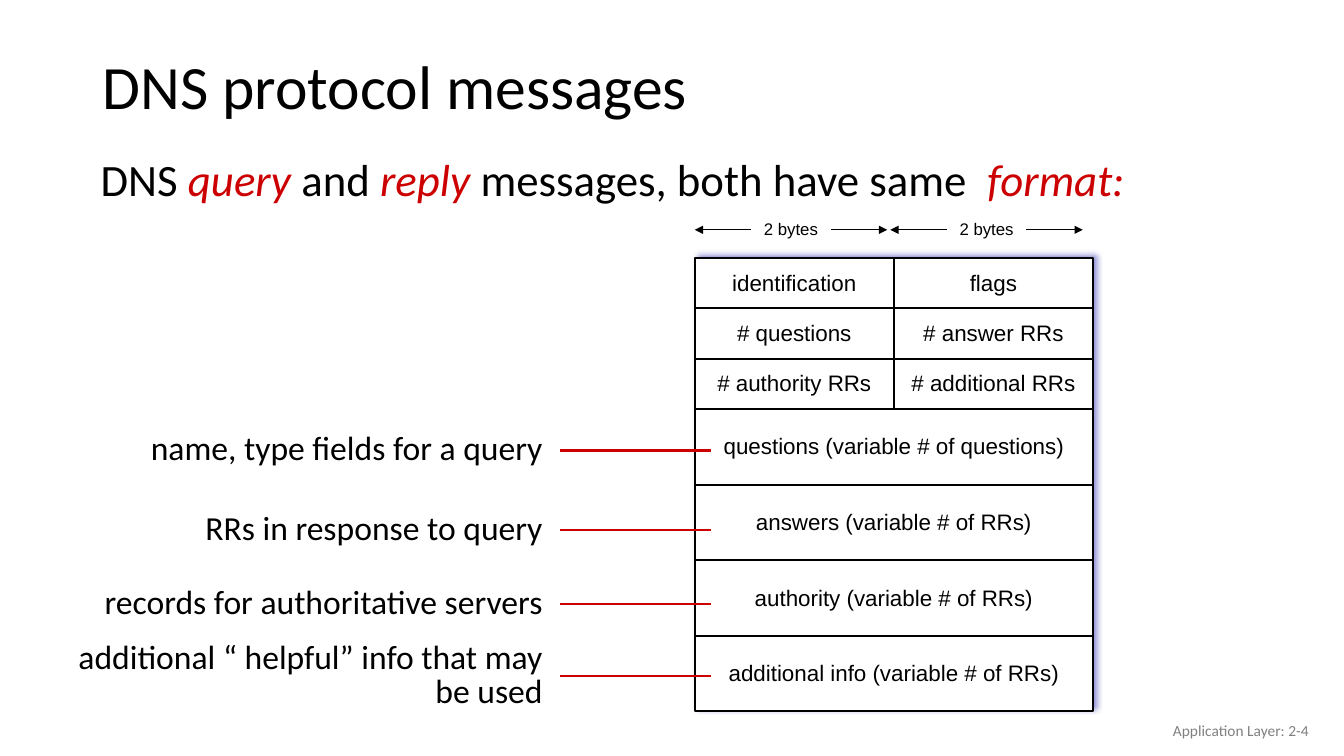
from lxml import etree
from pptx import Presentation
from pptx.dml.color import RGBColor
from pptx.enum.shapes import MSO_CONNECTOR, MSO_SHAPE
from pptx.enum.text import MSO_ANCHOR, PP_ALIGN
from pptx.oxml import parse_xml
from pptx.oxml.ns import nsdecls, qn
from pptx.util import Inches, Pt

BLACK = RGBColor(0x00, 0x00, 0x00)
WHITE = RGBColor(0xFF, 0xFF, 0xFF)
RED = RGBColor(0xCC, 0x00, 0x00)
GRAY = RGBColor(0x80, 0x80, 0x80)
STRAIGHT = MSO_CONNECTOR.STRAIGHT
RECTANGLE = MSO_SHAPE.RECTANGLE
TOP, MIDDLE = MSO_ANCHOR.TOP, MSO_ANCHOR.MIDDLE
LEFT, CENTER, RIGHT = PP_ALIGN.LEFT, PP_ALIGN.CENTER, PP_ALIGN.RIGHT

SHADOW = (
    f'<a:effectLst {nsdecls("a")}>'
    '<a:outerShdw blurRad="50800" dist="38100" dir="18900000" algn="bl" rotWithShape="0">'
    '<a:srgbClr val="0000A3"><a:alpha val="40000"/></a:srgbClr>'
    '</a:outerShdw></a:effectLst>'
)
HEADER_ROWS = [
    ("identification", "flags"),
    ("# questions", "# answer RRs"),
    ("# authority RRs", "# additional RRs"),
]
BODY_ROWS = [
    "questions (variable # of questions)",
    "answers (variable # of RRs)",
    "authority (variable # of RRs)",
    "additional info (variable # of RRs)",
]
CALLOUTS = [
    ("name, type fields for a query", 4.47),
    ("RRs in response to query", 5.26),
    ("records for authoritative servers", 5.99),
    ("additional “ helpful” info that may be used", 6.71),
]
HEADER_HEIGHT = 0.5
BODY_HEIGHT = 0.75


def add_text(page, box, spans, size, font="Calibri", align=LEFT, anchor=MIDDLE, spacing=1.0):
    """Add a one-paragraph text box; spans are (text, colour, italic)."""
    frame = page.shapes.add_textbox(*map(Inches, box)).text_frame
    frame.word_wrap = True
    frame.vertical_anchor = anchor
    para = frame.paragraphs[0]
    para.alignment = align
    para.line_spacing = spacing
    for text, color, italic in spans:
        span = para.add_run()
        span.text = text
        span.font.name = font
        span.font.size = Pt(size)
        span.font.color.rgb = color
        span.font.italic = italic


def add_line(page, start, end, color=BLACK, width=1.5, arrow=False):
    """Draw a straight line, with an arrowhead at its end if asked."""
    line = page.shapes.add_connector(STRAIGHT, *map(Inches, (*start, *end)))
    line.line.color.rgb = color
    line.line.width = Pt(width)
    if arrow:
        etree.SubElement(line.line._get_or_add_ln(), qn("a:tailEnd"), type="triangle")
    etree.SubElement(line._element.spPr, qn("a:effectLst"))


def add_headings(page, left, top, width):
    """Place the title and the sentence below it."""
    add_text(page, (left, top, width, 0.98), [("DNS protocol messages", BLACK, False)],
             44, spacing=0.9)
    sentence = [
        ("DNS ", BLACK, False), ("query ", RED, True), ("and ", BLACK, False),
        ("reply", RED, True), (" messages, both have same  ", BLACK, False),
        ("format:", RED, True),
    ]
    add_text(page, (left - 0.02, top + 1.12, width, 0.56), sentence, 32,
             anchor=TOP, spacing=0.9)


def add_byte_scale(page, left, middle, width):
    """Place a byte count between two outward arrows."""
    reach = 0.56
    right = left + width
    add_line(page, (left + reach, middle), (left, middle), width=0.75, arrow=True)
    add_line(page, (right - reach, middle), (right, middle), width=0.75, arrow=True)
    add_text(page, (left + reach, middle - 0.16, width - 2 * reach, 0.3),
             [("2 bytes", BLACK, False)], 12, "Arial", CENTER)


def add_message_format(page, left, top, width, height):
    """Draw the message frame with its header grid and body rows."""
    frame = page.shapes.add_shape(RECTANGLE, *map(Inches, (left, top, width, height)))
    frame.fill.solid()
    frame.fill.fore_color.rgb = WHITE
    frame.line.color.rgb = BLACK
    frame.line.width = Pt(1.5)
    frame._element.spPr.append(parse_xml(SHADOW))

    rows = [(labels, HEADER_HEIGHT) for labels in HEADER_ROWS]
    rows += [((label,), BODY_HEIGHT) for label in BODY_ROWS]
    row_top = top
    for index, (labels, row_height) in enumerate(rows):
        if index:
            add_line(page, (left, row_top), (left + width, row_top))
        cell_width = width / len(labels)
        for column, label in enumerate(labels):
            cell = (left + column * cell_width, row_top - 0.01, cell_width, row_height)
            add_text(page, cell, [(label, BLACK, False)], 16, "Arial", CENTER)
        row_top += row_height
    center = left + width / 2
    add_line(page, (center, top), (center, top + len(HEADER_ROWS) * HEADER_HEIGHT))


def add_callouts(page, left, width):
    """Place the right-aligned notes and their red pointers."""
    right = left + width
    for label, middle in CALLOUTS:
        add_text(page, (left, middle - 0.4, width, 0.8), [(label, BLACK, False)],
                 24, align=RIGHT, spacing=0.85)
        add_line(page, (right + 0.07, middle), (right + 1.57, middle), RED)


def add_footer(page, left, top, width, height):
    """Place the chapter and page number."""
    add_text(page, (left, top, width, height), [("Application Layer: 2-4", GRAY, False)],
             11, align=RIGHT)


def main():
    """Build and save the deck."""
    deck = Presentation()
    deck.slide_width = Inches(13.33)
    deck.slide_height = Inches(7.5)
    page = deck.slides.add_slide(deck.slide_layouts[6])
    add_headings(page, 0.92, 0.4, 11.5)
    for column in range(2):
        add_byte_scale(page, 6.89 + column * 1.94, 2.28, 1.91)
    add_message_format(page, 6.89, 2.56, 3.95, 4.49)
    add_callouts(page, 0.44, 5.04)
    add_footer(page, 10.08, 7.05, 3, 0.4)
    deck.save("out.pptx")


if __name__ == "__main__":
    main()
